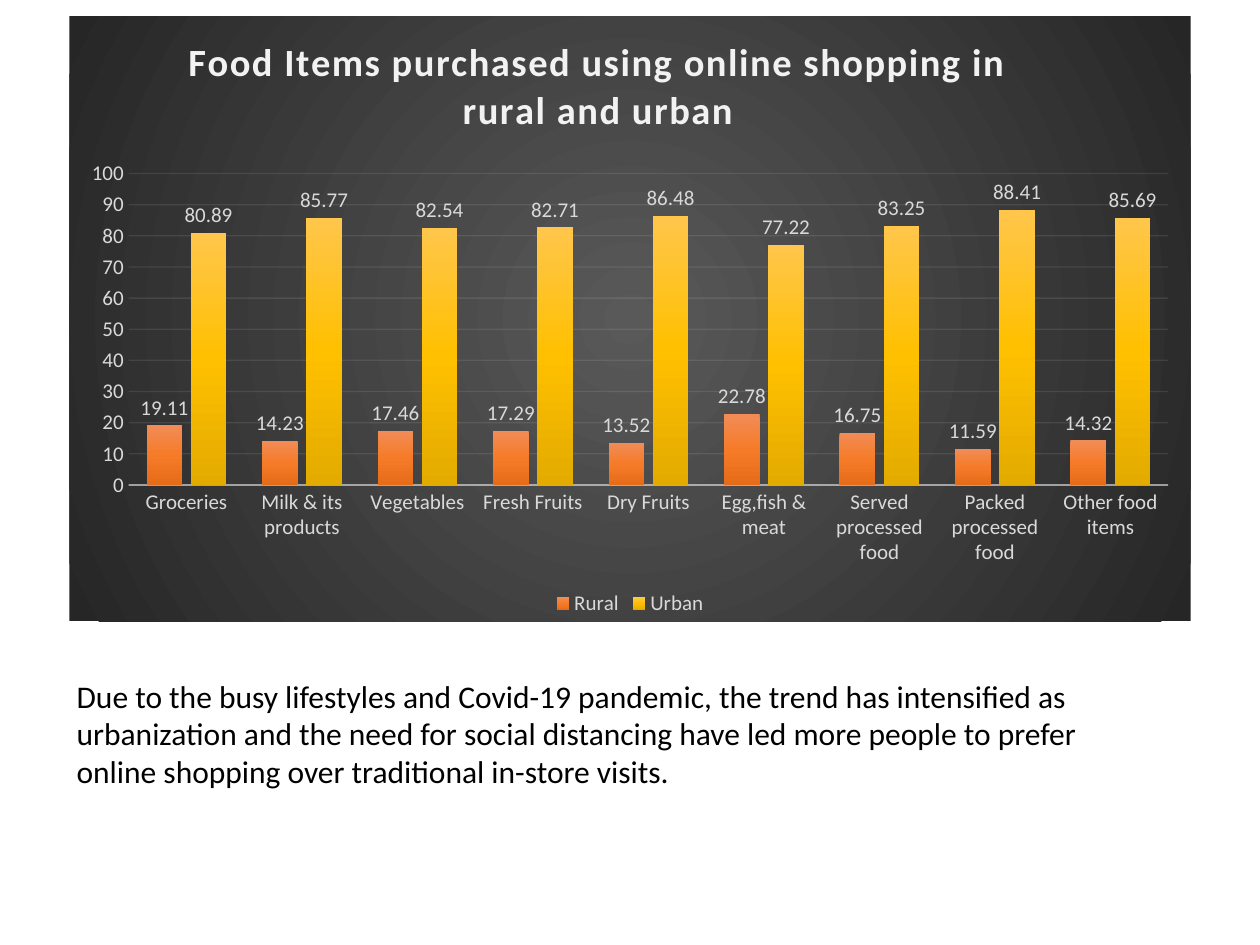
from lxml import etree
from pptx import Presentation
from pptx import util as u
from pptx.chart.data import CategoryChartData
from pptx.dml.color import RGBColor
from pptx.enum import chart as ch
from pptx.oxml import parse_xml
from pptx.oxml.ns import nsdecls, qn

WIDE, HIGH = 10, 7.5
FACE = "Calibri"
BLACK = RGBColor(0x00, 0x00, 0x00)
PALE = RGBColor(0xD9, 0xD9, 0xD9)
LIGHT = RGBColor(0xF2, 0xF2, 0xF2)
BACK = [RGBColor(0x59, 0x59, 0x59), RGBColor(0x26, 0x26, 0x26)]
ORANGE = [RGBColor(0xF1, 0x8C, 0x57), RGBColor(0xF6, 0x7B, 0x28), RGBColor(0xE5, 0x6C, 0x19)]
GOLD = [RGBColor(0xFF, 0xC6, 0x4B), RGBColor(0xFF, 0xC0, 0x00), RGBColor(0xE3, 0xAB, 0x00)]

TITLE = "Food Items purchased using online shopping in rural and urban"
FOODS = ["Groceries", "Milk & its products", "Vegetables", "Fresh Fruits", "Dry Fruits",
         "Egg,fish & meat", "Served processed food", "Packed processed food",
         "Other food items"]
SERIES = [
    ("Rural", [19.11, 14.23, 17.46, 17.29, 13.52, 22.78, 16.75, 11.59, 14.32], ORANGE),
    ("Urban", [80.89, 85.77, 82.54, 82.71, 86.48, 77.22, 83.25, 88.41, 85.69], GOLD),
]
NOTE = ("Due to the busy lifestyles and Covid-19 pandemic, the trend has intensified as "
        "urbanization and the need for social distancing have led more people to prefer "
        "online shopping over traditional in-store visits.")


def style(font, size, color, bold=False):
    font.name, font.size, font.bold = FACE, u.Pt(size), bold
    font.color.rgb = color


def blend(colors, shade):
    """Shape properties with evenly spaced gradient stops and no outline."""
    step = 100000 // (len(colors) - 1)
    stops = "".join(f'<a:gs pos="{i * step}"><a:srgbClr val="{c}"/></a:gs>'
                    for i, c in enumerate(colors))
    return parse_xml(f'<c:spPr {nsdecls("c", "a")}><a:gradFill><a:gsLst>{stops}</a:gsLst>'
                     f'{shade}</a:gradFill><a:ln><a:noFill/></a:ln></c:spPr>')


def rule(line, width, alpha):
    """Thin light line with the given opacity in percent."""
    line.width = u.Pt(width)
    line.color.rgb = LIGHT
    tint = line.fill._xPr.find(".//" + qn("a:srgbClr"))
    etree.SubElement(tint, qn("a:alpha")).set("val", str(alpha * 1000))


def place(owner, index, **shares):
    """Fix a chart part at shares of the chart's size."""
    for old in owner.findall(qn("c:layout")):
        owner.remove(old)
    inner = '<c:layoutTarget val="inner"/>' if "w" in shares else ""
    modes = "".join(f'<c:{k}Mode val="edge"/>' for k in "xy")
    sizes = "".join(f'<c:{k} val="{v}"/>' for k, v in shares.items())
    owner.insert(index, parse_xml(f'<c:layout {nsdecls("c")}><c:manualLayout>{inner}{modes}'
                                  f'{sizes}</c:manualLayout></c:layout>'))


def head(chart):
    chart.has_title = True
    run = chart.chart_title.text_frame.paragraphs[0].add_run()
    run.text = TITLE
    style(run.font, 22, LIGHT, True)
    run._r.get_or_add_rPr().set("spc", "100")
    chart.chart_title.include_in_layout = False
    place(chart.chart_title._element, 1, x=0.1, y=0.02)


def axes(chart):
    for axis in (chart.category_axis, chart.value_axis):
        axis.major_tick_mark = axis.minor_tick_mark = ch.XL_TICK_MARK.NONE
        style(axis.tick_labels.font, 12, PALE)
    rule(chart.category_axis.format.line, 1, 54)
    scale = chart.value_axis
    scale.minimum_scale, scale.maximum_scale, scale.major_unit = 0, 100, 10
    scale.format.line.fill.background()
    rule(scale.major_gridlines.format.line, 0.75, 10)


def bars(chart):
    plot = chart.plots[0]
    plot.gap_width, plot.overlap, plot.vary_by_categories = 100, -24, False
    for series, (_, _, colors) in zip(plot.series, SERIES):
        series.invert_if_negative = False
        series._element.find(qn("c:tx")).addnext(
            blend(colors, '<a:lin ang="5400000" scaled="0"/>'))
        labels = series.data_labels
        labels.show_value = True
        labels.position = ch.XL_LABEL_POSITION.OUTSIDE_END
        style(labels.font, 12, PALE)


def graph(slide):
    data = CategoryChartData()
    data.categories = FOODS
    for name, values, _ in SERIES:
        data.add_series(name, values)
    box = [u.Inches(n) for n in (0.55, 0.13, 8.9, 4.8)]
    chart = slide.shapes.add_chart(ch.XL_CHART_TYPE.COLUMN_CLUSTERED, *box, data).chart
    style(chart.font, 10, BLACK)
    head(chart)
    axes(chart)
    bars(chart)
    chart.has_legend = True
    chart.legend.position = ch.XL_LEGEND_POSITION.BOTTOM
    chart.legend.include_in_layout = False
    style(chart.legend.font, 12, PALE)
    core = chart._chartSpace.find(qn("c:chart"))
    place(core.find(qn("c:plotArea")), 0, x=0.053, y=0.26, w=0.927, h=0.515)
    core.addnext(blend(BACK, '<a:path path="circle"><a:fillToRect l="50000" t="50000" '
                             'r="50000" b="50000"/></a:path>'))


def note(slide):
    box = slide.shapes.add_textbox(*[u.Inches(n) for n in (0.51, 5.32, 8.62, 1.01)])
    box.text_frame.word_wrap = True
    run = box.text_frame.paragraphs[0].add_run()
    run.text = NOTE
    style(run.font, 18, BLACK)


def main():
    deck = Presentation()
    deck.slide_width, deck.slide_height = u.Inches(WIDE), u.Inches(HIGH)
    slide = deck.slides.add_slide(deck.slide_layouts[6])
    graph(slide)
    note(slide)
    deck.save("out.pptx")


if __name__ == "__main__":
    main()
